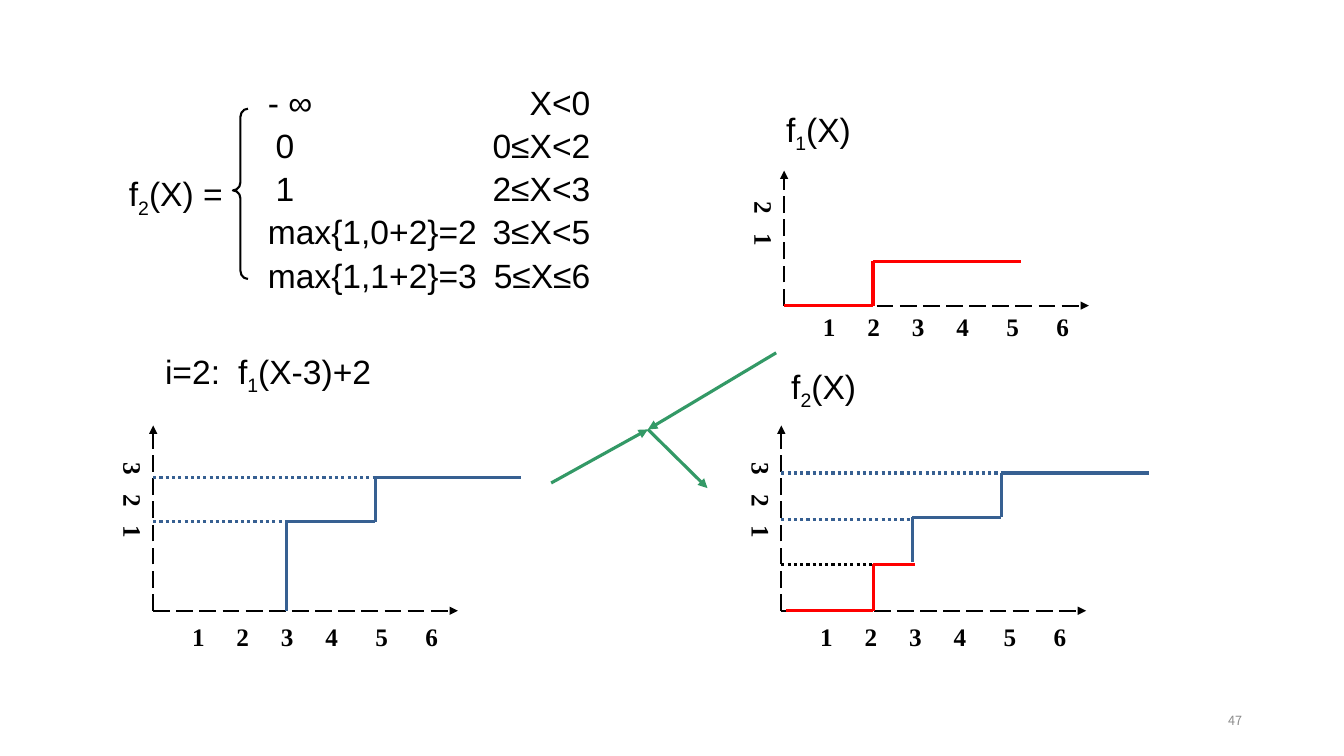
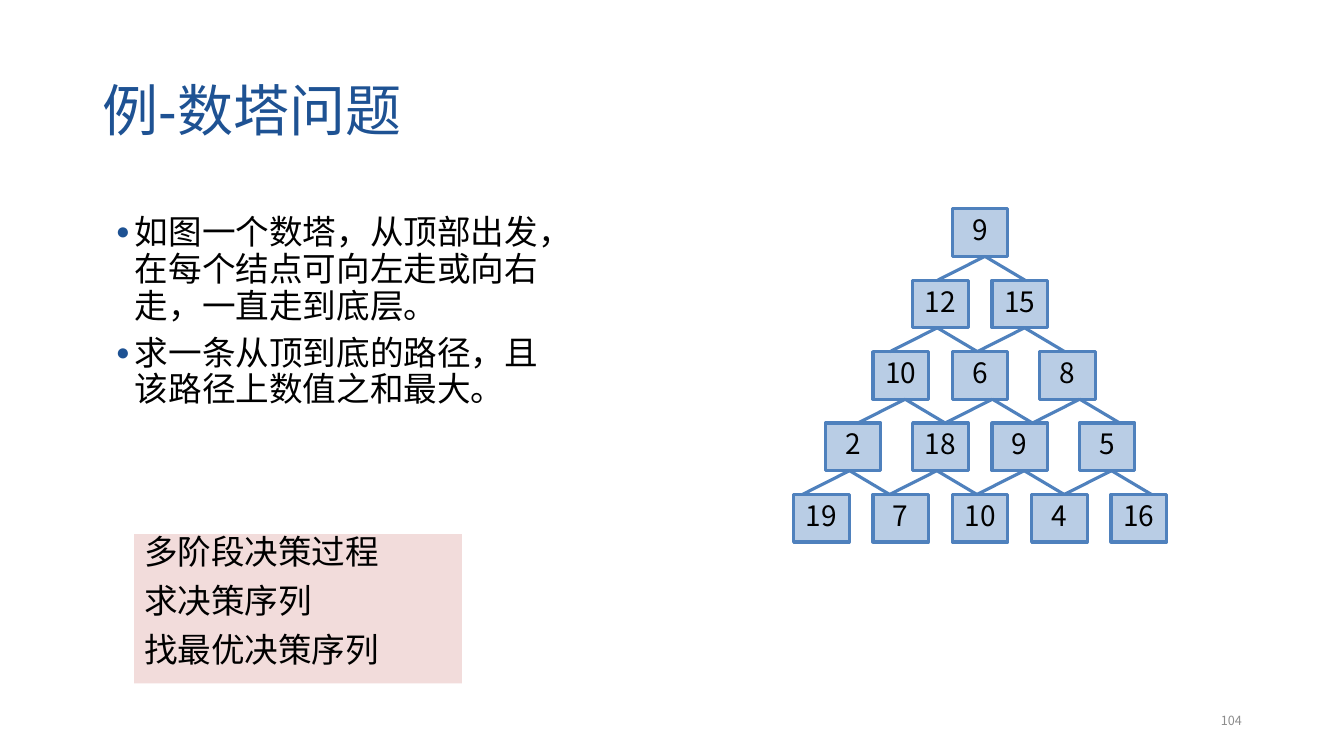
from dataclasses import dataclass

from lxml import etree
from pptx import Presentation
from pptx import util as u
from pptx.dml.color import RGBColor
from pptx.enum import dml, shapes, text
from pptx.oxml.ns import qn

BLACK = RGBColor(0, 0, 0)
RED = RGBColor(255, 0, 0)
NAVY = RGBColor(0x37, 0x60, 0x92)
GREEN = RGBColor(0x33, 0x99, 0x66)
TITLE = RGBColor(0x1E, 0x52, 0x93)
GREY = RGBColor(0x8C, 0x8C, 0x8C)
PINK = RGBColor(0xF2, 0xDC, 0xDB)
PALE = RGBColor(0xB9, 0xCD, 0xE5)
BLUE = RGBColor(0x4F, 0x81, 0xBD)
HAN = "Noto Sans CJK SC"
SERIF = "Times New Roman"
LEFT, MID, RIGHT = text.PP_ALIGN.LEFT, text.PP_ALIGN.CENTER, text.PP_ALIGN.RIGHT
DASH, DOT = dml.MSO_LINE.LONG_DASH, dml.MSO_LINE.ROUND_DOT
UNIT = 1.12
TICKS = (1.14, 2.26, 3.38, 4.5, 5.76, 7.02)


def add(node, tag, **attrs):
    return etree.SubElement(node, qn(tag), **attrs)


def write(frame, words, size=24, face="Arial", color=BLACK, bold=False, align=LEFT,
          space=1, before=0, tabs=(), stop="l", bullet=False, middle=False,
          wrap=True, inset=None, vert=None):
    frame.word_wrap = wrap
    frame.auto_size = text.MSO_AUTO_SIZE.NONE
    frame.vertical_anchor = text.MSO_ANCHOR.MIDDLE if middle else text.MSO_ANCHOR.TOP
    if inset is not None:
        frame.margin_left = frame.margin_right = u.Cm(inset)
        frame.margin_top = frame.margin_bottom = u.Cm(inset)
    if vert:
        frame._txBody.bodyPr.set("vert", vert)
    for row, part in enumerate(words.split("\n")):
        para = frame.add_paragraph() if row else frame.paragraphs[0]
        props = para._p.get_or_add_pPr()
        if bullet:
            props.set("marL", str(u.Cm(0.48)))
            props.set("indent", str(-u.Cm(0.48)))
            add(add(props, "a:buClr"), "a:srgbClr", val=str(TITLE))
            add(props, "a:buSzPct", val="70000")
            add(props, "a:buFont", typeface="Arial")
            add(props, "a:buChar", char="●")
        if tabs:
            stops = add(props, "a:tabLst")
            for tab in tabs:
                add(stops, "a:tab", pos=str(u.Cm(tab)), algn=stop)
        para.alignment = align
        para.line_spacing = space
        para.space_before = u.Pt(before if row else 0)
        for i, bit in enumerate(part.split("|")):
            run = para.add_run()
            run.text = bit
            font = run.font
            font.name, font.size, font.bold = face, u.Pt(size), bold
            font.color.rgb = color
            mark = run._r.get_or_add_rPr()
            add(mark, "a:ea", typeface=HAN)
            if i % 2:
                mark.set("baseline", "-25000")


@dataclass
class Deck:
    prs: object
    slide: object = None

    def page(self, number, title=None):
        self.slide = self.prs.slides.add_slide(self.prs.slide_layouts[5 if title else 6])
        if title:
            head = self.slide.shapes.title
            head.left, head.top = u.Cm(2.34), u.Cm(1.02)
            head.width, head.height = u.Cm(29.2), u.Cm(3.68)
            write(head.text_frame, title, size=40, color=TITLE, space=0.9, middle=True)
        self.label(number, 23.93, 17.65, 7.62, 1.02, size=9, face=HAN, color=GREY,
                   align=RIGHT, middle=True)

    def label(self, words, x, y, w, h, **style):
        box = self.slide.shapes.add_textbox(u.Cm(x), u.Cm(y), u.Cm(w), u.Cm(h))
        write(box.text_frame, words, **style)

    def shape(self, kind, x, y, w, h, fill=None, edge=None, width=2.25):
        item = self.slide.shapes.add_shape(kind, u.Cm(x), u.Cm(y), u.Cm(w), u.Cm(h))
        item.shadow.inherit = False
        if fill is None:
            item.fill.background()
        else:
            item.fill.solid()
            item.fill.fore_color.rgb = fill
        if edge is None:
            item.line.fill.background()
        else:
            item.line.color.rgb = edge
            item.line.width = u.Pt(width)
        return item

    def line(self, start, end, color, width=2.25, dash=None, arrow=False):
        ends = [u.Cm(n) for n in (*start, *end)]
        item = self.slide.shapes.add_connector(shapes.MSO_CONNECTOR.STRAIGHT, *ends)
        item.line.color.rgb = color
        item.line.width = u.Pt(width)
        if dash:
            item.line.dash_style = dash
        props = item._element.spPr
        if arrow:
            add(props.find(qn("a:ln")), "a:tailEnd", type="triangle")
        add(props, "a:effectLst")

    def axes(self, x, y, tall, marks, drop=0.27):
        for end in ((x + 7.68, y), (x, y - tall)):
            self.line((x, y), end, BLACK, 1.5, DASH, True)
        self.label("\t1\t2\t3\t4\t5\t6", x, y + drop, 7.7, 0.9, size=18, face=SERIF,
                   bold=True, tabs=TICKS, stop="ctr", inset=0)
        rise = UNIT * marks
        self.label("\t".join(str(n) for n in range(marks, 0, -1)),
                   x - 1.26, y - 0.63 - rise, 1.27, rise + 0.6, size=18, face=SERIF,
                   bold=True, tabs=(0.8, 1.6), vert="eaVert")

    def steps(self, x, y, points, color, dash=None):
        spots = [(x + UNIT * a, y - UNIT * b) for a, b in points]
        for start, end in zip(spots, spots[1:]):
            self.line(start, end, color, dash=dash)


def graphs(deck):
    deck.page("47")
    deck.label("f|2|(X) =", 3, 4.24, 3.45, 2.06)
    brace = deck.shape(shapes.MSO_SHAPE.LEFT_BRACE, 5.87, 2.74, 0.38, 4.29,
                       edge=BLACK, width=1.5)
    brace.adjustments[0], brace.adjustments[1] = 0.54, 0.48
    cases = (("- ∞", "X<0", 6.5), ("0", "0≤X<2", 6.7), ("1", "2≤X<3", 6.7),
             ("max{1,0+2}=2", "3≤X<5", 6.5), ("max{1,1+2}=3", "5≤X≤6", 6.5))
    for i, (value, scope, x) in enumerate(cases):
        deck.label(f"{value}\t{scope}", x, 1.93 + 1.09 * i, 10, 1.3,
                   tabs=(14.63 - x,), stop="r")
    deck.label("f|1|(X)", 19.56, 2.62, 2.26, 1.27, wrap=False)
    deck.label("i=2:\tf|1|(X-3)+2", 3.91, 8.71, 6.15, 1.27, tabs=(1.84,))
    deck.label("f|2|(X)", 19.69, 9.09, 2.29, 1.27)

    first, moved, best = (19.76, 7.7), (3.86, 15.39), (19.69, 15.39)
    deck.axes(*first, 3.4, 2, drop=0.15)
    deck.axes(*moved, 4.67, 3)
    deck.axes(*best, 4.67, 3)
    tracks = (
        (first, ((0, 0), (2, 0), (2, 1), (5.32, 1)), RED, None),
        (moved, ((0, 2), (3, 2)), NAVY, DOT),
        (moved, ((0, 3), (5, 3)), NAVY, DOT),
        (moved, ((3, 0), (3, 2), (5, 2), (5, 3), (8.27, 3)), NAVY, None),
        (best, ((0, 1.05), (2.05, 1.05)), BLACK, DOT),
        (best, ((0, 2.05), (2.95, 2.05)), NAVY, DOT),
        (best, ((0, 3.1), (4.95, 3.1)), NAVY, DOT),
        (best, ((0.1, 0), (2.07, 0), (2.07, 1.05), (3, 1.05)), RED, None),
        (best, ((2.95, 1.1), (2.95, 2.1), (4.95, 2.1), (4.95, 3.1), (8.27, 3.1)), NAVY, None),
    )
    for spot, points, color, dash in tracks:
        deck.steps(*spot, points, color, dash)
    hub = (16.33, 10.82)
    for start, end in (((19.56, 8.89), hub), ((13.89, 12.17), hub), (hub, (17.83, 12.3))):
        deck.line(start, end, GREEN, arrow=True)


def tower(deck):
    deck.page("104", "例-数塔问题")
    deck.label("如图一个数塔，从顶部出发，在每个结点可向左走或向右走，一直走到底层。\n"
               "求一条从顶到底的路径，且该路径上数值之和最大。",
               2.67, 5.3, 11.63, 6.07, space=0.91, before=7.5, bullet=True)
    note = deck.shape(shapes.MSO_SHAPE.RECTANGLE, 3.38, 13.46, 8.26, 3.76, PINK)
    write(note.text_frame, "多阶段决策过程\n求决策序列\n找最优决策序列",
          face=HAN, space=0.8, before=12)

    top, pitch, wide, tall = 5.26, 1.8, 1.4, 1.2
    rows = (
        ((24, 9),),
        ((23, 12), (25, 15)),
        ((22, 10), (24, 6), (26.2, 8)),
        ((20.8, 2), (23, 18), (25, 9), (27.2, 5)),
        ((20, 19), (22, 7), (24, 10), (26, 4), (28, 16)),
    )
    for r, row in enumerate(rows):
        for x, value in row:
            cell = deck.shape(shapes.MSO_SHAPE.RECTANGLE, x, top + pitch * r,
                              wide, tall, PALE, BLUE)
            write(cell.text_frame, str(value), size=20, face=HAN, align=MID,
                  space=0.8, middle=True, wrap=False)
    for r, left in enumerate((24.82, 23.62, 22.81, 21.41)):
        y = top + pitch * r
        for i in range(r + 1):
            x = left + 2.2 * i
            for shift in (-1.19, 1.01):
                deck.line((x, y + tall), (x + shift, y + pitch), BLUE)


def main():
    prs = Presentation()
    prs.slide_width, prs.slide_height = u.Cm(33.87), u.Cm(19.05)
    deck = Deck(prs)
    graphs(deck)
    tower(deck)
    prs.save("out.pptx")


if __name__ == "__main__":
    main()
